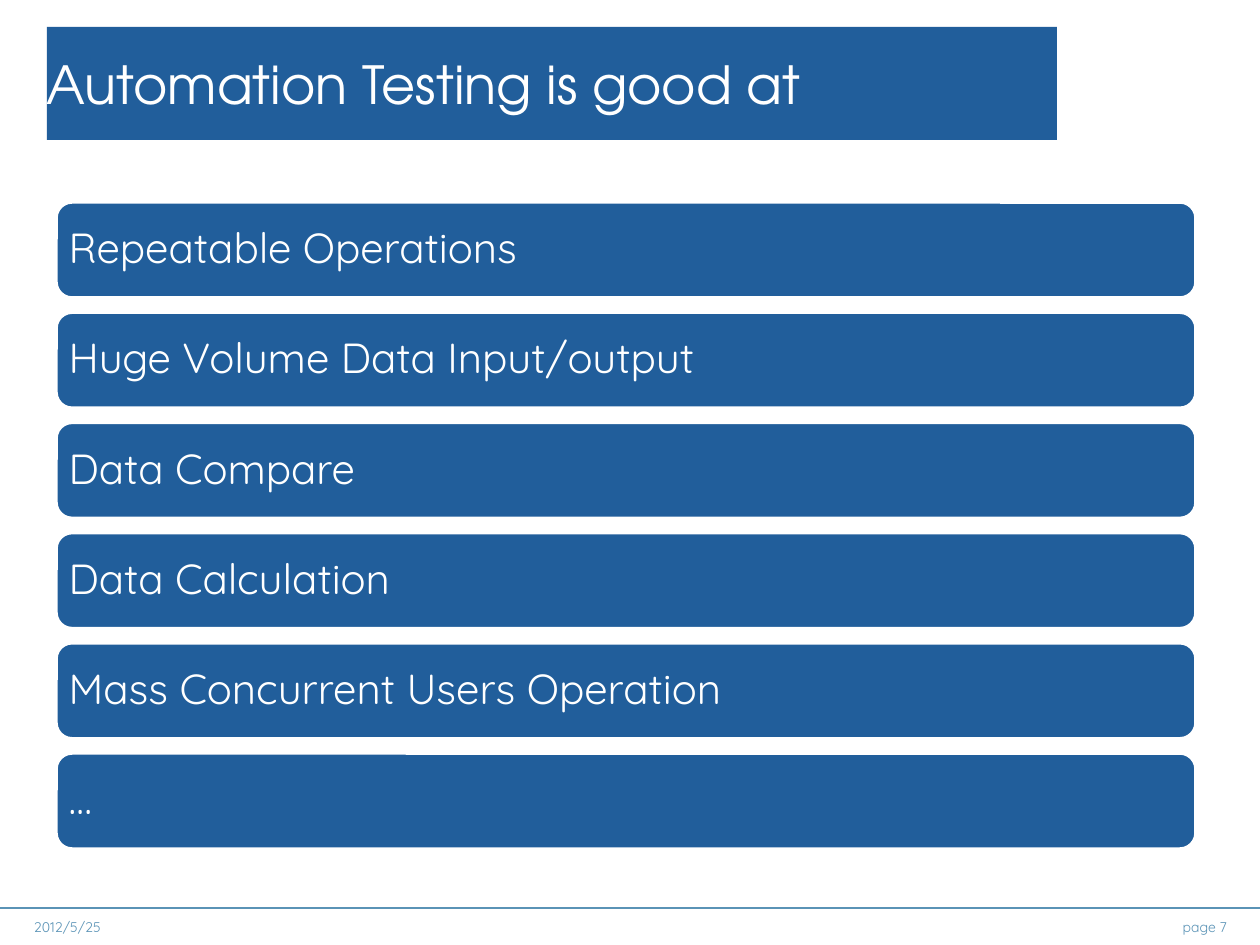
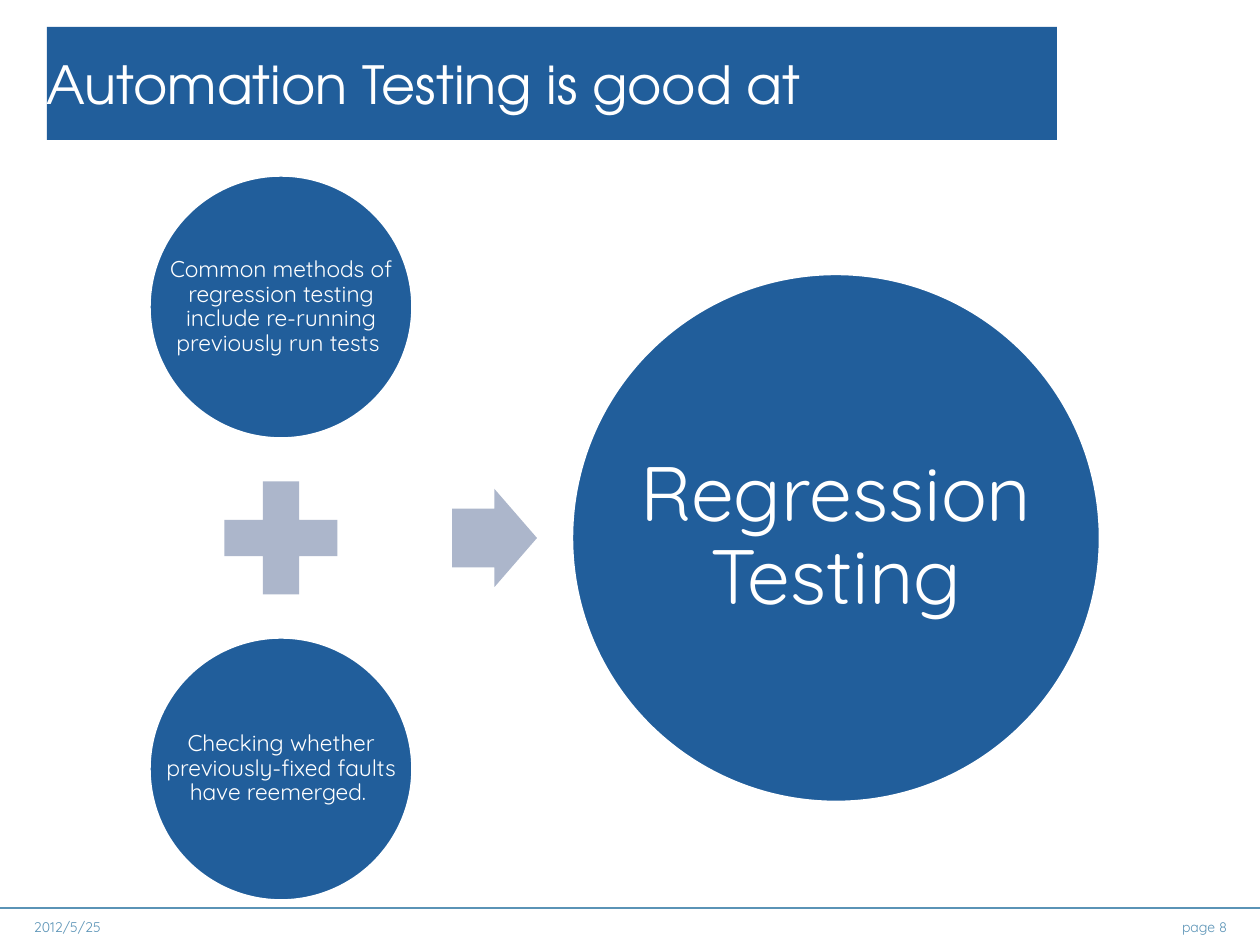
from lxml import etree
from pptx import Presentation
from pptx import util as u
from pptx.dml.color import RGBColor
from pptx.enum import shapes, text
from pptx.oxml import ns

COLOURS = {"band": "215E9B", "operator": "ACB6CB", "footer": "5A93B6", "white": "FFFFFF"}
TITLE_FONT, BODY_FONT = "TeX Gyre Adventor", "Quicksand"
SLIDE_W, SLIDE_H = 1260, 945
TITLE = "Automation Testing is good at"
DATE = "2012/5/25"
STRENGTHS = [
    "Repeatable Operations",
    "Huge Volume Data Input/output",
    "Data Compare",
    "Data Calculation",
    "Mass Concurrent Users Operation",
    "…",
]
METHOD = "Common methods of regression testing include re-running previously run tests "
CHECK = "Checking whether previously-fixed faults have reemerged. "


def px(length):
    """Turn px, at 126 to the inch, into EMU."""
    return u.Emu(round(length * 914400 / 126))


def colour(name):
    """Look up a named colour."""
    return RGBColor.from_string(COLOURS[name])


def write(holder, words, size, font=BODY_FONT, ink="white", align=text.PP_ALIGN.LEFT,
          inset=(0, 0), spacing=1.0):
    """Write one vertically centred paragraph; inset is horizontal, vertical."""
    frame = holder.text_frame
    frame.text = words
    frame.word_wrap = True
    frame.vertical_anchor = text.MSO_ANCHOR.MIDDLE
    frame.margin_left = frame.margin_right = px(inset[0])
    frame.margin_top = frame.margin_bottom = px(inset[1])
    paragraph = frame.paragraphs[0]
    paragraph.alignment = align
    paragraph.line_spacing = spacing
    for run in paragraph.runs:
        run.font.size = u.Pt(size)
        run.font.name = font
        run.font.color.rgb = colour(ink)


def add_block(slide, preset, left, top, width, height, fill="band", outlined=False):
    """Add a flat preset shape, optionally with a white outline."""
    block = slide.shapes.add_shape(preset, px(left), px(top), px(width), px(height))
    block.shadow.inherit = False
    block.fill.solid()
    block.fill.fore_color.rgb = colour(fill)
    if outlined:
        block.line.color.rgb = colour("white")
        block.line.width = u.Pt(2)
    else:
        block.line.fill.background()
    return block


def add_label(slide, left, top, width, height, words, size, **style):
    """Add a text box."""
    label = slide.shapes.add_textbox(px(left), px(top), px(width), px(height))
    write(label, words, size, **style)


def add_footer(slide, page):
    """Add the footer rule, date and page number."""
    rule = slide.shapes.add_connector(
        shapes.MSO_CONNECTOR.STRAIGHT, px(0), px(908), px(SLIDE_W), px(908))
    rule.line.color.rgb = colour("footer")
    rule.line.width = u.Pt(0.75)
    etree.SubElement(rule._element.spPr, ns.qn("a:effectLst"))
    add_label(slide, 34, 919, 152, 16, DATE, 8, ink="footer")
    add_label(slide, 1172, 919, 55, 16, f"page {page}", 8, ink="footer",
              align=text.PP_ALIGN.RIGHT)


def add_page(deck, page):
    """Add a slide with the shared title band and footer."""
    slide = deck.slides.add_slide(deck.slide_layouts[6])
    band = add_block(slide, shapes.MSO_SHAPE.RECTANGLE, 47, 27, 1010, 113)
    write(band, TITLE, 30, font=TITLE_FONT)
    add_footer(slide, page)
    return slide


def add_bar(slide, top, words):
    """Add one rounded bar of the list."""
    bar = add_block(slide, shapes.MSO_SHAPE.ROUNDED_RECTANGLE, 56, top, 1140, 96, outlined=True)
    write(bar, words, 24, inset=(8, 8), spacing=0.9)


def add_circle(slide, centre_x, centre_y, diameter, words, size, inset):
    """Add a circle whose label may use its full width."""
    left, top = centre_x - diameter / 2, centre_y - diameter / 2
    add_block(slide, shapes.MSO_SHAPE.OVAL, left, top, diameter, diameter, outlined=True)
    add_label(slide, left, top, diameter, diameter, words, size,
              align=text.PP_ALIGN.CENTER, inset=(inset, inset), spacing=0.9)


def build_strengths(deck):
    """Build the list of what automation does well."""
    slide = add_page(deck, 7)
    for row, strength in enumerate(STRENGTHS):
        add_bar(slide, 202 + 110.2 * row, strength)


def build_regression(deck):
    """Build the sum of two practices that leads to regression testing."""
    slide = add_page(deck, 8)
    sum_x, axis_y, reach = 281, 538, 231
    add_circle(slide, sum_x, axis_y - reach, 264, METHOD, 13, 3)
    add_block(slide, shapes.MSO_SHAPE.MATH_PLUS, sum_x - 77, axis_y - 77, 154, 154, "operator")
    add_circle(slide, sum_x, axis_y + reach, 264, CHECK, 13, 3)
    arrow = add_block(slide, shapes.MSO_SHAPE.RIGHT_ARROW, 452, axis_y - 49, 85, 98, "operator")
    arrow.adjustments[0] = 0.6
    add_circle(slide, 836, axis_y, 529, "Regression Testing", 44, 8)


def main():
    """Build and save the deck."""
    deck = Presentation()
    deck.slide_width, deck.slide_height = px(SLIDE_W), px(SLIDE_H)
    build_strengths(deck)
    build_regression(deck)
    deck.save("out.pptx")


if __name__ == "__main__":
    main()
